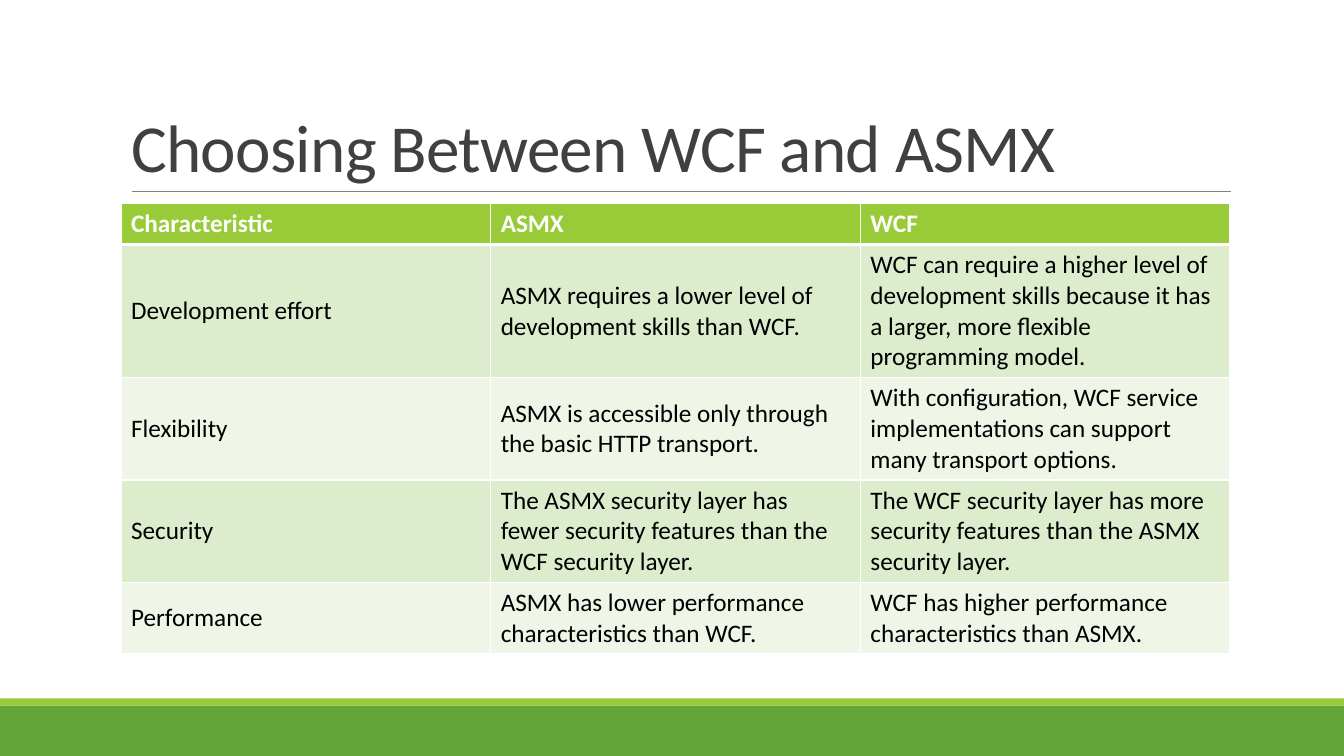
from lxml import etree
from pptx import Presentation
from pptx.dml.color import RGBColor
from pptx.enum.shapes import MSO_CONNECTOR, MSO_SHAPE
from pptx.enum.text import MSO_ANCHOR, MSO_AUTO_SIZE, PP_ALIGN
from pptx.oxml.ns import qn
from pptx.util import Inches, Pt

STRAIGHT, RECTANGLE = MSO_CONNECTOR.STRAIGHT, MSO_SHAPE.RECTANGLE
TOP, MIDDLE, BOTTOM = MSO_ANCHOR.TOP, MSO_ANCHOR.MIDDLE, MSO_ANCHOR.BOTTOM
LEFT, NO_AUTOFIT = PP_ALIGN.LEFT, MSO_AUTO_SIZE.NONE

TITLE = "Choosing Between WCF and ASMX"
COMPARISON = [
    ("Characteristic", "ASMX", "WCF"),
    ("Development effort",
     "ASMX requires a lower level of development skills than WCF.",
     "WCF can require a higher level of development skills because it has "
     "a larger, more flexible programming model."),
    ("Flexibility",
     "ASMX is accessible only through the basic HTTP transport.",
     "With configuration, WCF service implementations can support many transport options."),
    ("Security",
     "The ASMX security layer has fewer security features than the WCF security layer.",
     "The WCF security layer has more security features than the ASMX security layer."),
    ("Performance",
     "ASMX has lower performance characteristics than WCF.",
     "WCF has higher performance characteristics than ASMX."),
]
LINES_PER_ROW = (1, 4, 3, 3, 2)
LINE_HEIGHT, CELL_PADDING = 0.305, 0.1
SLIDE_WIDTH, SLIDE_HEIGHT = 13.33, 7.5
CONTENT_LEFT, CONTENT_WIDTH = 1.2, 11
TITLE_TOP, TITLE_HEIGHT = 0.31, 1.59
TABLE_TOP = 2.02
RULE_LEFT, RULE_RIGHT = 1.31, 12.21
FOOTER_BANDS = [(7, 0.5, "63A537"), (6.93, 0.07, "99CB38")]
HEADER_FILL, ROW_FILLS = "99CB38", ("DEECCE", "EFF6E8")
TITLE_FONT = {"name": "Calibri", "size": Pt(48), "bold": False}
HEADER_FONT = {"name": "Calibri", "size": Pt(18), "bold": True}
BODY_FONT = {**HEADER_FONT, "bold": False}


def colour(hex_value):
    """Turn a hex string into a colour."""
    return RGBColor.from_string(hex_value)


def format_font(font, values, hex_value):
    """Apply format values and a colour to a font."""
    for key, value in values.items():
        setattr(font, key, value)
    font.color.rgb = colour(hex_value)


def add_borders(cell, bottom_width):
    """Draw white borders around a table cell."""
    properties = cell._tc.get_or_add_tcPr()
    for side, width in (("L", 1), ("R", 1), ("T", 1), ("B", bottom_width)):
        border = etree.SubElement(properties, qn(f"a:ln{side}"), w=str(Pt(width)))
        fill = etree.SubElement(border, qn("a:solidFill"))
        etree.SubElement(fill, qn("a:srgbClr"), val="FFFFFF")


def add_footer(slide):
    """Add the coloured bands at the foot of the slide."""
    for top, height, fill in FOOTER_BANDS:
        band = slide.shapes.add_shape(
            RECTANGLE, 0, Inches(top), Inches(SLIDE_WIDTH), Inches(height))
        band.shadow.inherit = False
        band.fill.solid()
        band.fill.fore_color.rgb = colour(fill)
        band.line.fill.background()


def add_title(slide):
    """Fill the title placeholder and add the rule below it."""
    title = slide.shapes.title
    title.left, title.top = Inches(CONTENT_LEFT), Inches(TITLE_TOP)
    title.width, title.height = Inches(CONTENT_WIDTH), Inches(TITLE_HEIGHT)
    frame = title.text_frame
    frame.text = TITLE
    frame.word_wrap, frame.auto_size, frame.vertical_anchor = True, NO_AUTOFIT, BOTTOM
    heading = frame.paragraphs[0]
    heading.alignment, heading.line_spacing = LEFT, 0.85
    run = heading.runs[0]
    format_font(run.font, TITLE_FONT, "404040")
    run._r.get_or_add_rPr().set("spc", "-50")

    rule_top = Inches(TITLE_TOP + TITLE_HEIGHT)
    rule = slide.shapes.add_connector(
        STRAIGHT, Inches(RULE_LEFT), rule_top, Inches(RULE_RIGHT), rule_top)
    rule.line.color.rgb = colour("808080")
    rule.line.width = Pt(0.5)
    etree.SubElement(rule._element.spPr, qn("a:effectLst"))


def add_comparison(slide):
    """Add the comparison table."""
    heights = [lines * LINE_HEIGHT + CELL_PADDING for lines in LINES_PER_ROW]
    table = slide.shapes.add_table(
        len(COMPARISON), len(COMPARISON[0]), Inches(CONTENT_LEFT), Inches(TABLE_TOP),
        Inches(CONTENT_WIDTH), Inches(sum(heights))).table
    for row_index, (texts, height) in enumerate(zip(COMPARISON, heights)):
        table.rows[row_index].height = Inches(height)
        header = row_index == 0
        fill = HEADER_FILL if header else ROW_FILLS[(row_index - 1) % 2]
        for column_index, text in enumerate(texts):
            cell = table.cell(row_index, column_index)
            cell.text = text
            cell.vertical_anchor = TOP if header else MIDDLE
            add_borders(cell, 3 if header else 1)
            cell.fill.solid()
            cell.fill.fore_color.rgb = colour(fill)
            format_font(cell.text_frame.paragraphs[0].runs[0].font,
                        HEADER_FONT if header else BODY_FONT,
                        "FFFFFF" if header else "000000")


def main():
    """Build and save the slide."""
    deck = Presentation()
    deck.slide_width, deck.slide_height = Inches(SLIDE_WIDTH), Inches(SLIDE_HEIGHT)
    slide = deck.slides.add_slide(deck.slide_layouts[5])
    add_footer(slide)
    add_title(slide)
    add_comparison(slide)
    deck.save("out.pptx")


if __name__ == "__main__":
    main()
